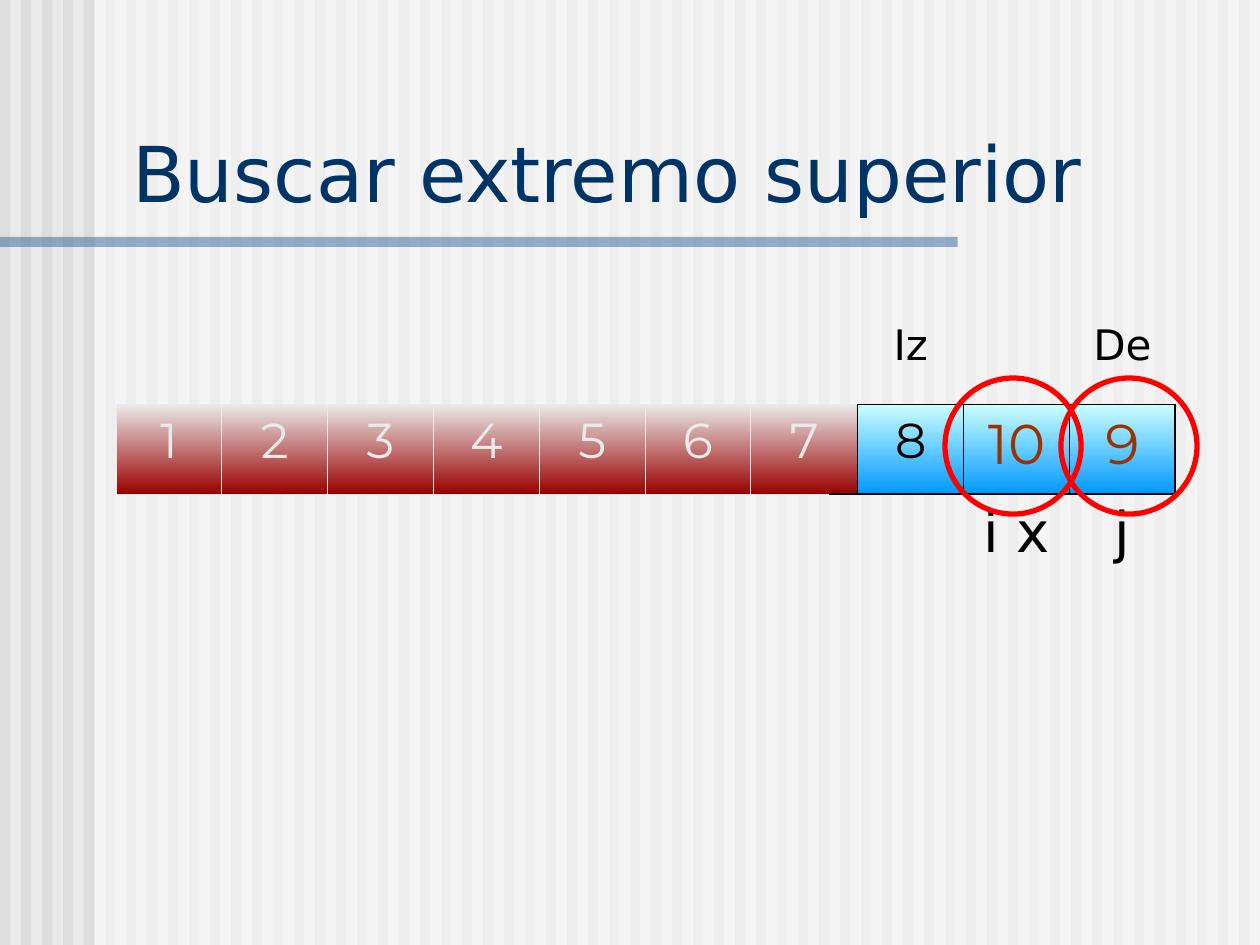
from lxml.etree import SubElement
from pptx import Presentation
from pptx.dml.color import RGBColor
from pptx.enum.shapes import MSO_SHAPE
from pptx.enum.text import MSO_ANCHOR, MSO_AUTO_SIZE, PP_ALIGN
from pptx.oxml import parse_xml
from pptx.oxml.ns import nsdecls, qn
from pptx.util import Inches, Pt

PALE = RGBColor(0xEA, 0xEA, 0xEA)
GRAY = RGBColor(0xDD, 0xDD, 0xDD)
WHITE = RGBColor(0xFF, 0xFF, 0xFF)
BLACK = RGBColor(0, 0, 0)
STEEL = RGBColor(0x33, 0x66, 0x99)
NAVY = RGBColor(0, 0x33, 0x66)
WINE = RGBColor(0x9A, 0, 0)
RUST = RGBColor(0x99, 0x33, 0)
AQUA = RGBColor(0xCC, 0xFF, 0xFF)
BLUE = RGBColor(0, 0x99, 0xFF)
RED = RGBColor(0xFF, 0, 0)
SANS = "DejaVu Sans"
MONT = "Montserrat"
PLAIN = "{2D5ABB26-0587-4C30-8999-92F81FD0307C}"
THIN = 0.45
THICK = 1.08


class Deck:
    def __init__(self, slide):
        self.slide = slide
        fill = slide.background.fill
        fill.solid()
        fill.fore_color.rgb = PALE

    def shape(self, kind, x, y, w, h):
        shape = self.slide.shapes.add_shape(
            kind, Inches(x), Inches(y), Inches(w), Inches(h))
        shape.shadow.inherit = False
        return shape

    def bar(self, x, y, w, h, color, alpha=100):
        bar = self.shape(MSO_SHAPE.RECTANGLE, x, y, w, h)
        bar.fill.solid()
        bar.fill.fore_color.rgb = color
        bar.line.fill.background()
        if alpha < 100:
            tint = bar.fill._xPr.find(".//" + qn("a:srgbClr"))
            SubElement(tint, qn("a:alpha")).set("val", str(alpha * 1000))

    def ring(self, x, y, size):
        ring = self.shape(MSO_SHAPE.OVAL, x, y, size, size)
        ring.fill.background()
        ring.line.color.rgb = RED
        ring.line.width = Pt(3)

    def style(self, frame, text, size, font, color):
        para = frame.paragraphs[0]
        para.text = text
        run = para.runs[0].font
        run.size = Pt(size)
        run.name = font
        run.color.rgb = color
        return para

    def title(self, text, x, y, w, h):
        box = self.slide.shapes.add_textbox(
            Inches(x), Inches(y), Inches(w), Inches(h))
        frame = box.text_frame
        frame.word_wrap = True
        frame.auto_size = MSO_AUTO_SIZE.SHAPE_TO_FIT_TEXT
        frame.vertical_anchor = MSO_ANCHOR.BOTTOM
        self.style(frame, text, 44, SANS, NAVY)

    def grid(self, x, y, cols, rows):
        frame = self.slide.shapes.add_table(
            len(rows), len(cols), Inches(x), Inches(y),
            Inches(sum(cols)), Inches(sum(rows)))
        table = frame.table
        table.first_row = table.horz_banding = False
        table._tbl.tblPr.find(qn("a:tableStyleId")).text = PLAIN
        for col, width in zip(table.columns, cols):
            col.width = Inches(width)
        for row, height in zip(table.rows, rows):
            row.height = Inches(height)
        for cell in table.iter_cells():
            cell.fill.background()
        return table

    def label(self, cell, text, size, font, color, gap):
        para = self.style(cell.text_frame, text, size, font, color)
        para.alignment = PP_ALIGN.CENTER
        para.space_before = Pt(gap)

    def shade(self, cell, top, bottom):
        cell.fill.gradient()
        cell.fill.gradient_angle = 270
        for stop, color in zip(cell.fill.gradient_stops, (top, bottom)):
            stop.color.rgb = color
            stop.position = 0 if color == top else 1

    def edge(self, cell, **sides):
        names = [side for side in "LRTB" if side in sides]
        for spot, side in enumerate(names):
            color, width = sides[side]
            line = parse_xml(
                f'<a:ln{side} {nsdecls("a")} w="{Pt(width)}"><a:solidFill>'
                f'<a:srgbClr val="{color}"/></a:solidFill></a:ln{side}>')
            cell._tc.get_or_add_tcPr().insert(spot, line)


def main():
    deck = Presentation()
    deck.slide_width = Inches(10)
    deck.slide_height = Inches(7.5)
    page = Deck(deck.slides.add_slide(deck.slide_layouts[6]))

    for i in range(60):
        page.bar(i / 6, 0, 0.08, 7.5, GRAY)
    page.bar(0.75, 0, 9.25, 7.5, WHITE, 50)
    page.bar(0, 1.88, 7.6, 0.08, STEEL, 50)

    cols = [0.84] * 6 + [0.62, 0.23] + [0.84] * 3
    table = page.grid(0.92, 2.5, cols, [0.71] * 3)
    for row, col in ((0, 6), (1, 6), (2, 7)):
        table.cell(row, col).merge(table.cell(row, col + 1))

    light, dark, bold = (PALE, THIN), (BLACK, THIN), (BLACK, THICK)
    for col in range(7):
        cell = table.cell(1, col)
        page.label(cell, str(col + 1), 28, MONT, PALE, 7)
        page.shade(cell, PALE, WINE)
        right = dark if col == 6 else light
        page.edge(cell, L=light, R=right, T=light, B=light)
        page.edge(table.cell(0, col), B=light)
        page.edge(table.cell(2, col), T=light)

    tail = (("8", 28, BLACK, 7), ("10", 32, RUST, 8), ("9", 32, RUST, 8))
    for col, (text, size, color, gap) in enumerate(tail, 8):
        cell = table.cell(1, col)
        page.label(cell, text, size, MONT, color, gap)
        page.shade(cell, AQUA, BLUE)
        right = bold if col == 10 else dark
        page.edge(cell, L=dark, R=right, T=bold, B=bold)
        page.edge(table.cell(0, col), B=bold)
    for col in (7, 9, 10):
        page.edge(table.cell(2, col), T=bold)

    for col, text in ((8, "Iz"), (10, "De")):
        page.label(table.cell(0, col), text, 24, SANS, BLACK, 6)
    for col, text in ((9, "i x"), (10, "j")):
        page.label(table.cell(2, col), text, 32, SANS, BLACK, 8)

    page.title("Buscar extremo superior", 0.95, 0.94, 8.93, 0.84)
    for x in (7.5, 8.42):
        page.ring(x, 3, 1.08)
    deck.save("out.pptx")


if __name__ == "__main__":
    main()
